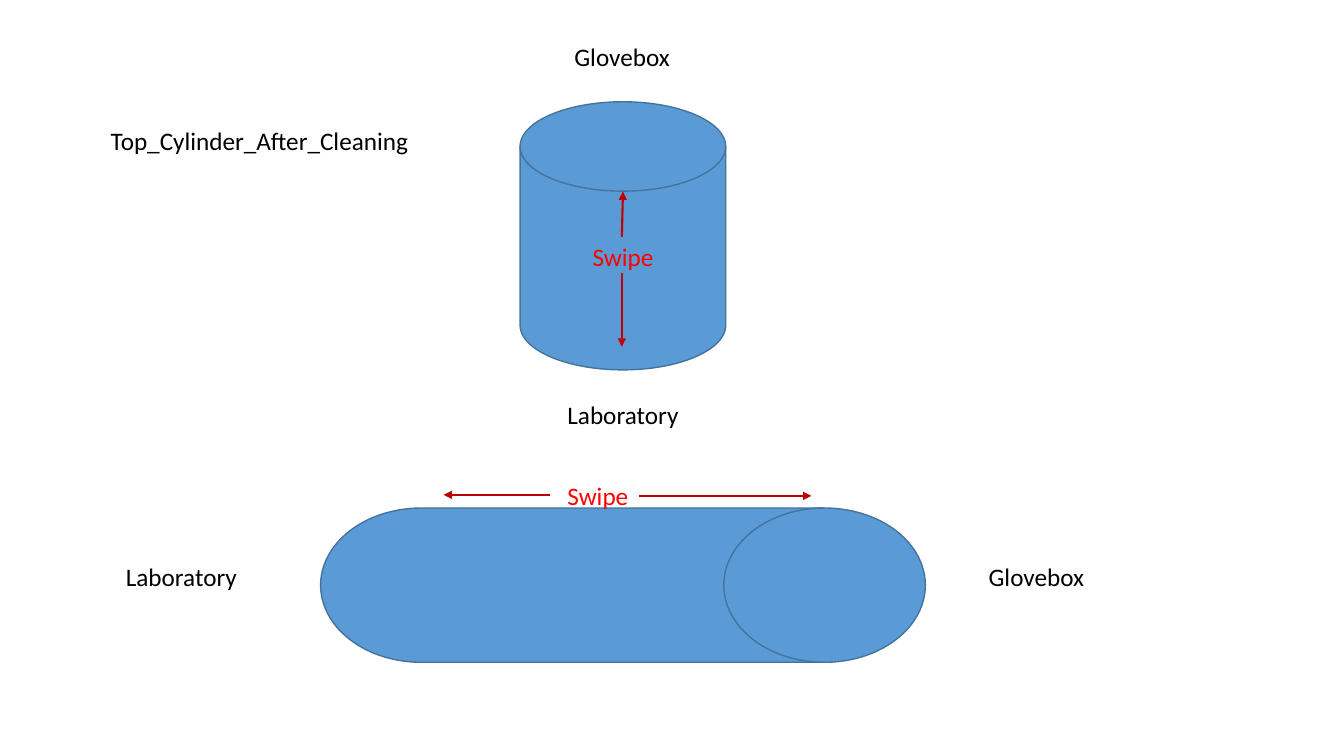
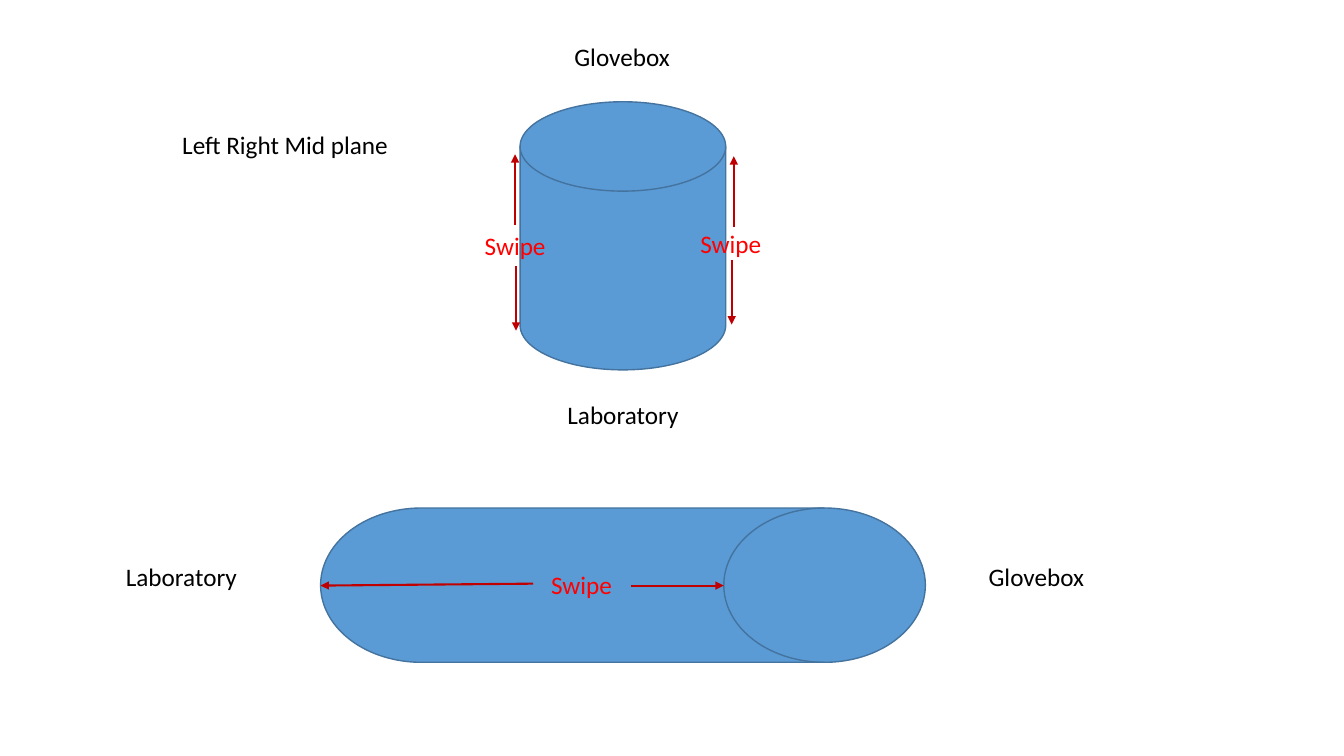
import pptx
import pptx.util
import pptx.dml.color
import pptx.enum.shapes
import pptx.enum.text
import pptx.oxml.ns
import lxml.etree

Pt = pptx.util.Pt
SHAPES = pptx.enum.shapes.MSO_SHAPE

# Content, in points
COLORS = {"cylinder": "5B9BD5", "outline": "43739E", "label": "000000",
          "swipe": "FF0000", "arrow": "C00000"}
FONT, FONT_SIZE = "Calibri", 18
LABEL_HEIGHT, SWIPE_WIDTH = 29, 58.3

# Cylinders: preset, left, top, width, height
CYLINDERS = [
    (SHAPES.FLOWCHART_DIRECT_ACCESS_STORAGE, 229, 362.9, 432, 110.2),
    (SHAPES.FLOWCHART_MAGNETIC_DISK, 371.5, 72.7, 146.9, 191.5),
]
# Labels: text, left, top, width
END_LABELS = [
    ("Glovebox", 699.1, 397.4, 83.5),
    ("Laboratory", 82.8, 397.4, 95),
    ("Glovebox", 403.2, 25.9, 83.5),
    ("Laboratory", 398.2, 281.5, 95),
]
# Swipes: left, top; arrows: start x, start y, end x, end y
SLIDES = [
    {"title": ("Top_Cylinder_After_Cleaning", 72, 85.7, 229.7),
     "swipes": [(398.2, 339.8), (416.2, 168.5)],
     "arrows": [(393.1, 353.5, 316.8, 353.5), (456.5, 354.2, 579.6, 354.2),
                (444.2, 195.1, 444.2, 247.7), (444.2, 169.2, 445, 136.8)]},
    {"title": ("Left Right Mid plane", 123.1, 88.6, 163.4),
     "swipes": [(386.6, 403.2), (339.1, 160.6), (493.2, 159.8)],
     "arrows": [(380.9, 416.9, 229, 418.3), (450.7, 418.3, 517, 418.3),
                (368.6, 190.1, 368.6, 236.2), (522.7, 185.8, 522.7, 231.8),
                (367.9, 160.6, 367.9, 110.2), (524.2, 162, 524.2, 111.6)]},
]


def color(name):
    return pptx.dml.color.RGBColor.from_string(COLORS[name])


def add_cylinder(slide, preset, *box):
    shape = slide.shapes.add_shape(preset, *map(Pt, box))
    shape.shadow.inherit = False
    shape.fill.solid()
    shape.fill.fore_color.rgb = color("cylinder")
    shape.line.color.rgb = color("outline")
    shape.line.width = Pt(1)


def add_label(slide, text, left, top, width, color_name="label"):
    box = slide.shapes.add_textbox(Pt(left), Pt(top), Pt(width), Pt(LABEL_HEIGHT))
    frame = box.text_frame
    frame.text = text
    frame.word_wrap = False
    frame.auto_size = pptx.enum.text.MSO_AUTO_SIZE.SHAPE_TO_FIT_TEXT
    font = frame.paragraphs[0].runs[0].font
    font.name = FONT
    font.size = Pt(FONT_SIZE)
    font.color.rgb = color(color_name)


def add_arrow(slide, *ends):
    connector = slide.shapes.add_connector(
        pptx.enum.shapes.MSO_CONNECTOR.STRAIGHT, *map(Pt, ends))
    connector.line.color.rgb = color("arrow")
    connector.line.width = Pt(1.5)
    qn = pptx.oxml.ns.qn
    properties = connector.element.find(qn("p:spPr"))
    lxml.etree.SubElement(properties.find(qn("a:ln")), qn("a:tailEnd"), type="triangle")
    lxml.etree.SubElement(properties, qn("a:effectLst"))


# Build the slides
presentation = pptx.Presentation()
presentation.slide_width, presentation.slide_height = Pt(960), Pt(540)
for content in SLIDES:
    slide = presentation.slides.add_slide(presentation.slide_layouts[6])
    for cylinder in CYLINDERS:
        add_cylinder(slide, *cylinder)
    for label in END_LABELS + [content["title"]]:
        add_label(slide, *label)
    for left, top in content["swipes"]:
        add_label(slide, "Swipe", left, top, SWIPE_WIDTH, "swipe")
    for arrow in content["arrows"]:
        add_arrow(slide, *arrow)

presentation.save("out.pptx")
